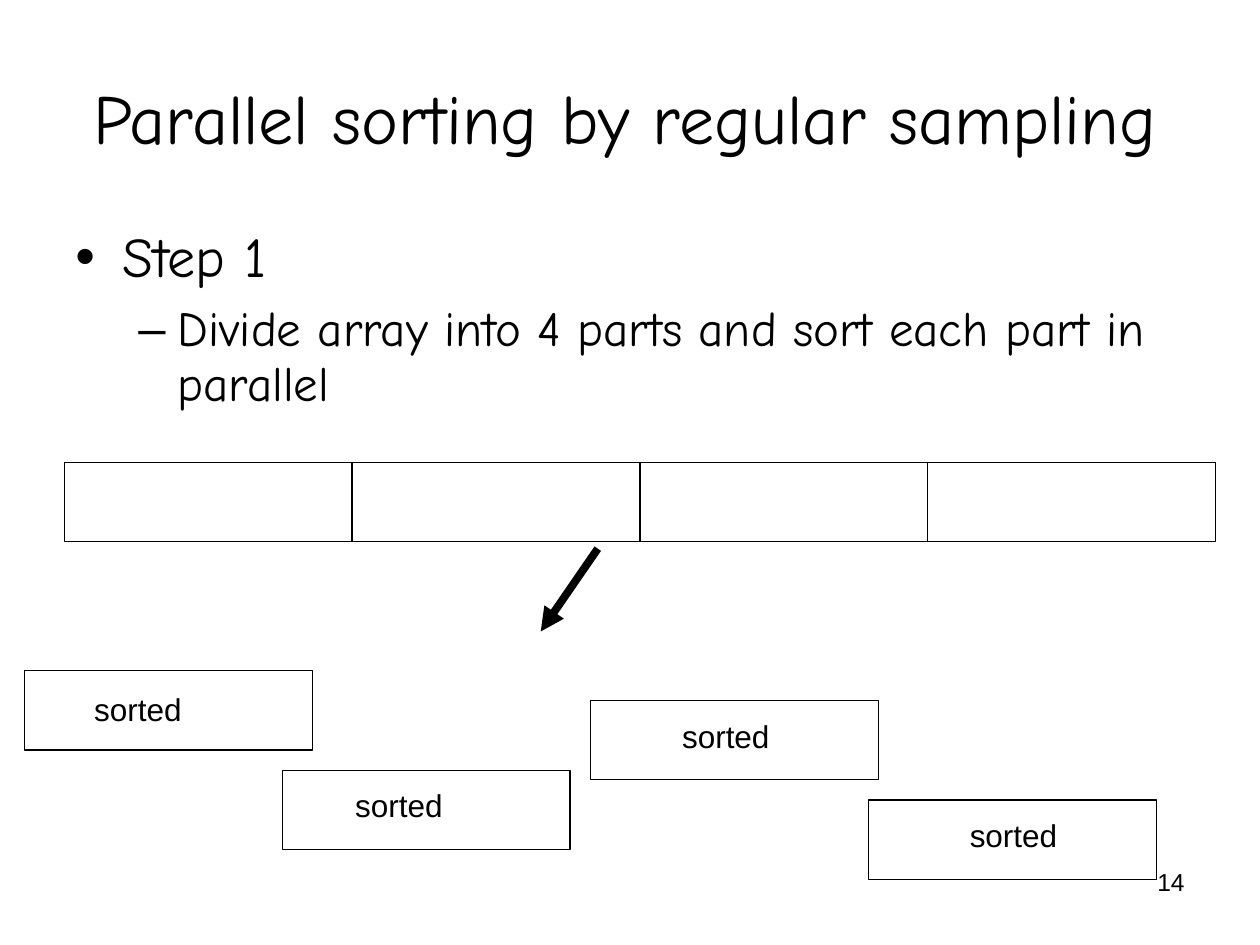
from lxml.etree import SubElement
from pptx import Presentation
from pptx.dml.color import RGBColor
from pptx.enum.shapes import MSO_CONNECTOR, MSO_SHAPE
from pptx.enum.text import MSO_ANCHOR, PP_ALIGN
from pptx.oxml.ns import qn
from pptx.util import Cm, Pt

BLACK = RGBColor(0, 0, 0)
TITLE_FONT = "Comic Neue"
LABEL_FONT = "Arial"
PART_WIDTH, PART_HEIGHT = 5.8, 1.6
ARRAY_LEFT, ARRAY_TOP, PART_COUNT = 1.3, 9.32, 4

# Left and top of each sorted part, then of its label
SORTED_PARTS = [
    (0.5, 13.52, 1.65, 13.79),
    (5.69, 15.53, 6.91, 15.72),
    (11.91, 14.12, 13.5, 14.33),
    (17.51, 16.13, 19.3, 16.33),
]


def add_box(page, left, top, width, height):
    box = page.shapes.add_textbox(Cm(left), Cm(top), Cm(width), Cm(height))
    box.text_frame.word_wrap = True
    return box.text_frame


def write(para, text, font, size):
    para.text = text
    para.font.name = font
    para.font.size = Pt(size)
    para.font.color.rgb = BLACK


def add_bullet(para, mark, margin, hang):
    """Give the paragraph a bullet that hangs left of its text."""
    properties = para._p.get_or_add_pPr()
    properties.set("marL", str(Cm(margin)))
    properties.set("indent", str(-Cm(hang)))
    SubElement(properties, qn("a:buFont")).set("typeface", LABEL_FONT)
    SubElement(properties, qn("a:buChar")).set("char", mark)


def add_steps(page):
    frame = add_box(page, 1.27, 4.45, 22.86, 12.57)
    step = frame.paragraphs[0]
    detail = frame.add_paragraph()
    detail.level = 1
    add_bullet(step, "•", 0.95, 0.95)
    add_bullet(detail, "–", 2.06, 0.79)
    write(step, "Step 1", TITLE_FONT, 32)
    write(detail, "Divide array into 4 parts and sort each part in parallel",
          TITLE_FONT, 28)
    step.line_spacing = detail.line_spacing = 0.94
    detail.space_before = Pt(7)


def add_part(page, left, top):
    part = page.shapes.add_shape(MSO_SHAPE.RECTANGLE, Cm(left), Cm(top),
                                 Cm(PART_WIDTH), Cm(PART_HEIGHT))
    part.shadow.inherit = False
    part.fill.background()
    part.line.color.rgb = BLACK
    part.line.width = Pt(0.75)


def add_label(page, left, top):
    frame = add_box(page, left, top, 2.5, 1.02)
    write(frame.paragraphs[0], "sorted", LABEL_FONT, 18)


def add_arrow(page, start_x, start_y, end_x, end_y):
    arrow = page.shapes.add_connector(MSO_CONNECTOR.STRAIGHT, Cm(start_x),
                                      Cm(start_y), Cm(end_x), Cm(end_y))
    arrow.line.color.rgb = BLACK
    arrow.line.width = Pt(4.5)
    SubElement(arrow.line._get_or_add_ln(), qn("a:tailEnd")).set("type", "triangle")
    SubElement(arrow._element.spPr, qn("a:effectLst"))


def main():
    deck = Presentation()
    deck.slide_width, deck.slide_height = Cm(25.4), Cm(19.05)
    page = deck.slides.add_slide(deck.slide_layouts[6])

    number = add_box(page, 18.21, 17.35, 5.92, 1.32).paragraphs[0]
    write(number, "14", LABEL_FONT, 14)
    number.alignment = PP_ALIGN.RIGHT

    title = add_box(page, 0.5, 0.76, 24.2, 3.18)
    title.vertical_anchor = MSO_ANCHOR.MIDDLE
    write(title.paragraphs[0], "Parallel sorting by regular sampling",
          TITLE_FONT, 40)
    title.paragraphs[0].alignment = PP_ALIGN.CENTER

    add_steps(page)
    for index in range(PART_COUNT):
        add_part(page, ARRAY_LEFT + index * PART_WIDTH, ARRAY_TOP)
    add_arrow(page, 12.05, 11.06, 10.9, 12.73)
    for left, top, label_left, label_top in SORTED_PARTS:
        add_part(page, left, top)
        add_label(page, label_left, label_top)

    deck.save("out.pptx")


if __name__ == "__main__":
    main()
